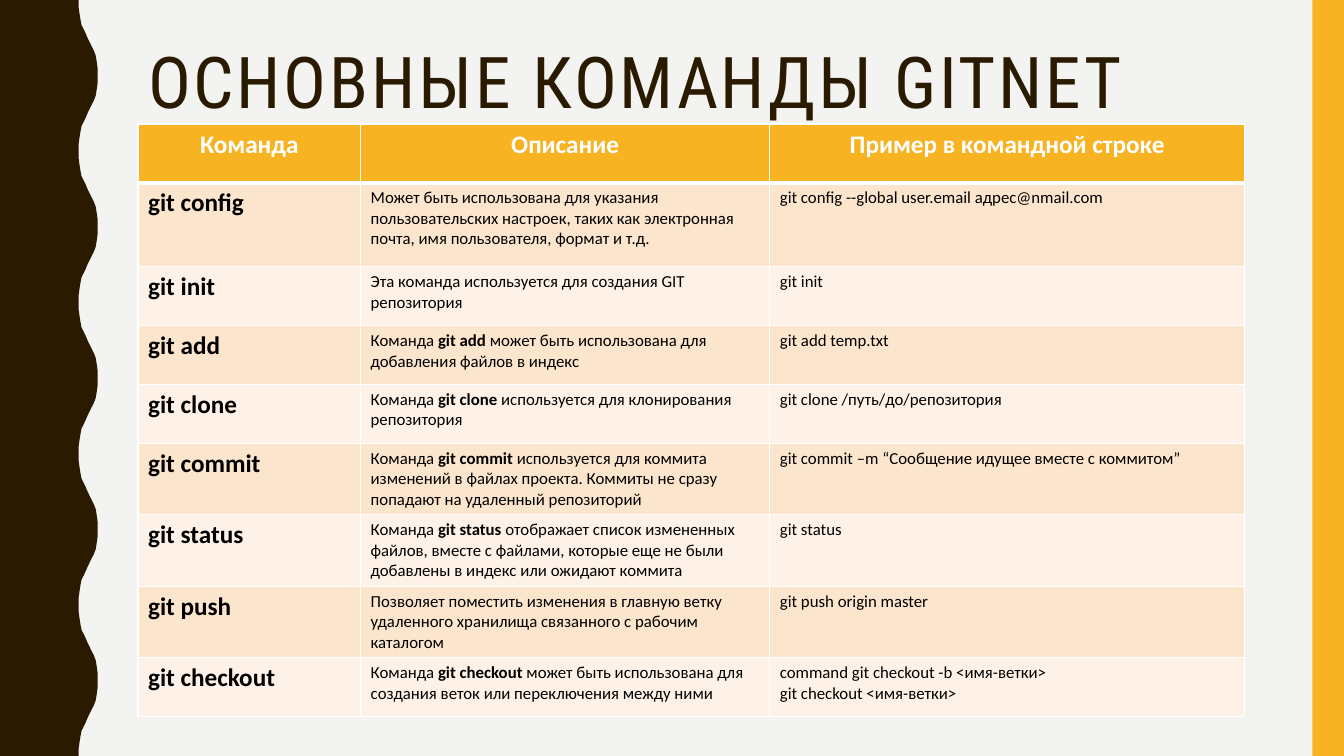
"""Build a slide with a table of basic Git commands."""
from lxml import etree
from pptx import Presentation
from pptx.dml.color import RGBColor
from pptx.enum.shapes import MSO_SHAPE
from pptx.enum.text import MSO_ANCHOR, MSO_AUTO_SIZE, PP_ALIGN
from pptx.oxml.ns import qn
from pptx.util import Pt

RECT = MSO_SHAPE.RECTANGLE
TOP = MSO_ANCHOR.TOP
FIXED = MSO_AUTO_SIZE.NONE
LEFT, CENTER = PP_ALIGN.LEFT, PP_ALIGN.CENTER

PAPER = RGBColor(0xF3, 0xF3, 0xF2)
BROWN = RGBColor(0x2A, 0x1A, 0x00)
GOLD = RGBColor(0xF8, 0xB3, 0x23)
PEACH = RGBColor(0xFC, 0xE5, 0xCD)
CREAM = RGBColor(0xFE, 0xF2, 0xE8)
WHITE = RGBColor(0xFF, 0xFF, 0xFF)
BLACK = RGBColor(0x00, 0x00, 0x00)

WIDTH, HEIGHT = 960, 540
PERIOD = 108
CURVE = [(56.2, 0), (56.2, 5), (56.9, 10), (57.6, 14.4), (58.3, 18),
         (59.8, 20.9), (61.2, 23.8), (62.6, 27.2), (64.1, 30.2),
         (65.5, 33.1), (67, 36), (68.4, 39.6), (69.1, 43.9),
         (69.8, 49), (69.8, 54)]

HEADS = ["Команда", "Описание", "Пример в командной строке"]
ROWS = [
    ("git config",
     "Может быть использована для указания пользовательских настроек, "
     "таких как электронная почта, имя пользователя, формат и т.д.",
     "git config --global user.email адрес@nmail.com"),
    ("git init",
     "Эта команда используется для создания GIT репозитория",
     "git init"),
    ("git add",
     "Команда\u00a0*git add*\u00a0может быть использована для "
     "добавления файлов в индекс",
     "git add temp.txt"),
    ("git clone",
     "Команда\u00a0*git clone*\u00a0используется для клонирования "
     "репозитория",
     "git clone /путь/до/репозитория"),
    ("git commit",
     "Команда\u00a0*git commit*\u00a0используется для коммита изменений "
     "в файлах проекта. Коммиты не сразу попадают на удаленный репозиторий",
     "git commit –m “Сообщение идущее вместе с коммитом”"),
    ("git status",
     "Команда\u00a0*git status*\u00a0отображает список измененных файлов, "
     "вместе с файлами, которые еще не были добавлены в индекс "
     "или ожидают коммита",
     "git status"),
    ("git push",
     "Позволяет поместить изменения в главную ветку удаленного хранилища "
     "связанного с рабочим каталогом",
     "git push origin master"),
    ("git checkout",
     "Команда\u00a0*git checkout*\u00a0может быть использована для "
     "создания веток или переключения между ними",
     "command git checkout -b <имя-ветки>\ngit checkout <имя-ветки>"),
]


def write(frame, text, size=12, color=BLACK, font="Calibri", bold=False,
          align=LEFT, lines=None, track=0):
    """Fill a frame with text; asterisks switch bold, newlines split."""
    for i, line in enumerate(text.split("\n")):
        para = frame.add_paragraph() if i else frame.paragraphs[0]
        para.alignment = align
        if lines:
            para.line_spacing = lines
        for j, part in enumerate(line.split("*")):
            run = para.add_run()
            run.text = part
            run.font.name = font
            run.font.size = Pt(size)
            run.font.bold = bold or j % 2 == 1
            run.font.color.rgb = color
            if track:
                run.font._element.set("spc", str(track * 100))


def edge(cell, side, width):
    """Draw one white border of a cell."""
    line = etree.SubElement(cell._tc.get_or_add_tcPr(), qn("a:ln" + side),
                            w=str(Pt(width)))
    fill = etree.SubElement(line, qn("a:solidFill"))
    etree.SubElement(fill, qn("a:srgbClr"), val=str(WHITE))


class Page:
    """Hold the slide and draw its elements in one style."""

    def __init__(self, deck):
        self.slide = deck.slides.add_slide(deck.slide_layouts[5])
        self.shapes = self.slide.shapes
        fill = self.slide.background.fill
        fill.solid()
        fill.fore_color.rgb = PAPER

    def paint(self, shape, color):
        """Give a shape a flat fill."""
        shape.shadow.inherit = False
        shape.fill.solid()
        shape.fill.fore_color.rgb = color
        shape.line.fill.background()

    def wave(self, color):
        """Draw the left band with its wavy edge."""
        bend = CURVE + [(x, PERIOD - y) for x, y in CURVE[-2::-1]]
        dots = [(x, y + top) for top in range(0, HEIGHT, PERIOD)
                for x, y in bend]
        form = self.shapes.build_freeform(0, 0)
        form.add_line_segments(
            [(Pt(x), Pt(y)) for x, y in dots + [(0, HEIGHT)]])
        self.paint(form.convert_to_shape(), color)

    def bar(self, x, y, wide, high, color):
        """Draw a plain bar."""
        box = self.shapes.add_shape(RECT, Pt(x), Pt(y), Pt(wide), Pt(high))
        self.paint(box, color)

    def title(self, text, x, y, wide, high):
        """Place the title and format it."""
        box = self.shapes.title
        box.left, box.top = Pt(x), Pt(y)
        box.width, box.height = Pt(wide), Pt(high)
        frame = box.text_frame
        frame.word_wrap = True
        frame.auto_size = FIXED
        frame.vertical_anchor = TOP
        write(frame, text, size=51, color=BROWN, font="Roboto Condensed",
              lines=0.9, track=2)

    def cell(self, cell, text, fill, head=False, **style):
        """Fill one table cell."""
        for side in "LRTB":
            thick = head and side == "B"
            edge(cell, side, 3 if thick else 1)
        cell.fill.solid()
        cell.fill.fore_color.rgb = fill
        write(cell.text_frame, text, **style)

    def table(self, x, y, cols, highs):
        """Draw the table of commands."""
        grid = self.shapes.add_table(
            len(highs), len(cols), Pt(x), Pt(y),
            Pt(sum(cols)), Pt(sum(highs))).table
        for col, wide in zip(grid.columns, cols):
            col.width = Pt(wide)
        for row, high in zip(grid.rows, highs):
            row.height = Pt(high)
        for c, text in enumerate(HEADS):
            self.cell(grid.cell(0, c), text, GOLD, head=True, size=18,
                      color=WHITE, bold=True, align=CENTER)
        for r, row in enumerate(ROWS, 1):
            for c, text in enumerate(row):
                first = c == 0
                self.cell(grid.cell(r, c), text, PEACH if r % 2 else CREAM,
                          size=18 if first else 12, bold=first)


deck = Presentation()
deck.slide_width, deck.slide_height = Pt(WIDTH), Pt(HEIGHT)
page = Page(deck)
page.wave(BROWN)
page.bar(937.5, 0, 22.5, HEIGHT, GOLD)
page.title("ОСНОВНЫЕ КОМАНДЫ GITNET", 98.6, 30.2, 801.4, 117.4)
page.table(98.6, 88.6, [159, 292.3, 339.2], [42, 60] + [42] * 7)
deck.save("out.pptx")
